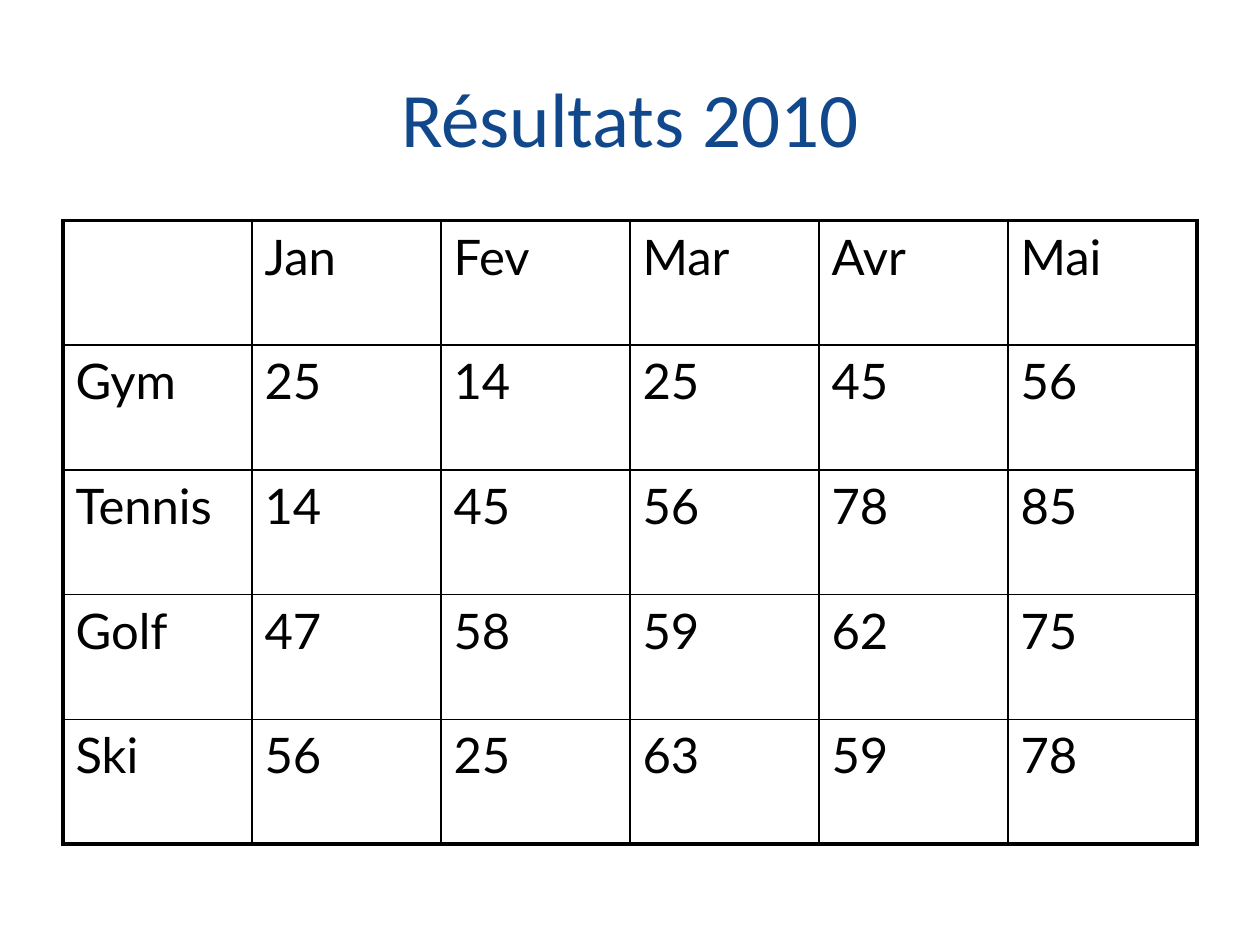
from lxml import etree
from pptx import Presentation
from pptx.dml.color import RGBColor
from pptx.enum.text import MSO_ANCHOR, PP_ALIGN
from pptx.oxml.ns import qn
from pptx.util import Inches, Pt

MIDDLE = MSO_ANCHOR.MIDDLE
LEFT, CENTER = PP_ALIGN.LEFT, PP_ALIGN.CENTER
BLANK_LAYOUT = 6
COLORS = {"title": "11478B", "text": "000000", "border": "000000"}
INNER_WIDTH, OUTER_WIDTH = Pt(1), Pt(2.25)
RESULTS = [
    ["", "Jan", "Fev", "Mar", "Avr", "Mai"],
    ["Gym", 25, 14, 25, 45, 56],
    ["Tennis", 14, 45, 56, 78, 85],
    ["Golf", 47, 58, 59, 62, 75],
    ["Ski", 56, 25, 63, 59, 78],
]


def write_text(frame, text, size, font, color, align=LEFT):
    """Write one formatted paragraph into a text frame."""
    paragraph = frame.paragraphs[0]
    paragraph.alignment = align
    run = paragraph.add_run()
    run.text = text
    run.font.size = Pt(size)
    run.font.name = font
    run.font.color.rgb = RGBColor.from_string(COLORS[color])


def add_border(cell, side, width):
    """Draw a solid border on one side of a cell."""
    properties = cell._tc.get_or_add_tcPr()
    line = etree.SubElement(properties, qn(f"a:ln{side}"), w=str(width))
    fill = etree.SubElement(line, qn("a:solidFill"))
    etree.SubElement(fill, qn("a:srgbClr"), val=COLORS["border"])


def add_title(slide, left, top, width, height):
    """Place the centred title in its box."""
    title = slide.shapes.add_textbox(left, top, width, height)
    title.text_frame.word_wrap = True
    title.text_frame.vertical_anchor = MIDDLE
    write_text(title.text_frame, "Résultats 2010", size=44, font="Calibri",
               color="title", align=CENTER)


def add_results(slide, left, top, width, height):
    """Place the results table with a heavy outer frame."""
    last_row, last_column = len(RESULTS) - 1, len(RESULTS[0]) - 1
    table = slide.shapes.add_table(last_row + 1, last_column + 1,
                                   left, top, width, height).table
    table.first_row = False
    table.horz_banding = False
    for r, values in enumerate(RESULTS):
        for c, value in enumerate(values):
            cell = table.cell(r, c)
            outer_sides = {"L": c == 0, "R": c == last_column,
                           "T": r == 0, "B": r == last_row}
            for side, outer in outer_sides.items():
                add_border(cell, side, OUTER_WIDTH if outer else INNER_WIDTH)
            cell.fill.background()
            if value != "":
                write_text(cell.text_frame, str(value), size=28, font="Lato",
                           color="text")


def main():
    """Build and save the results slide."""
    deck = Presentation()
    deck.slide_width, deck.slide_height = Inches(10), Inches(7.5)
    slide = deck.slides.add_slide(deck.slide_layouts[BLANK_LAYOUT])
    add_title(slide, Inches(0.5), Inches(0.3), Inches(9), Inches(1.25))
    add_results(slide, Inches(0.5), Inches(1.75), Inches(9), Inches(4.95))
    deck.save("out.pptx")


if __name__ == "__main__":
    main()
